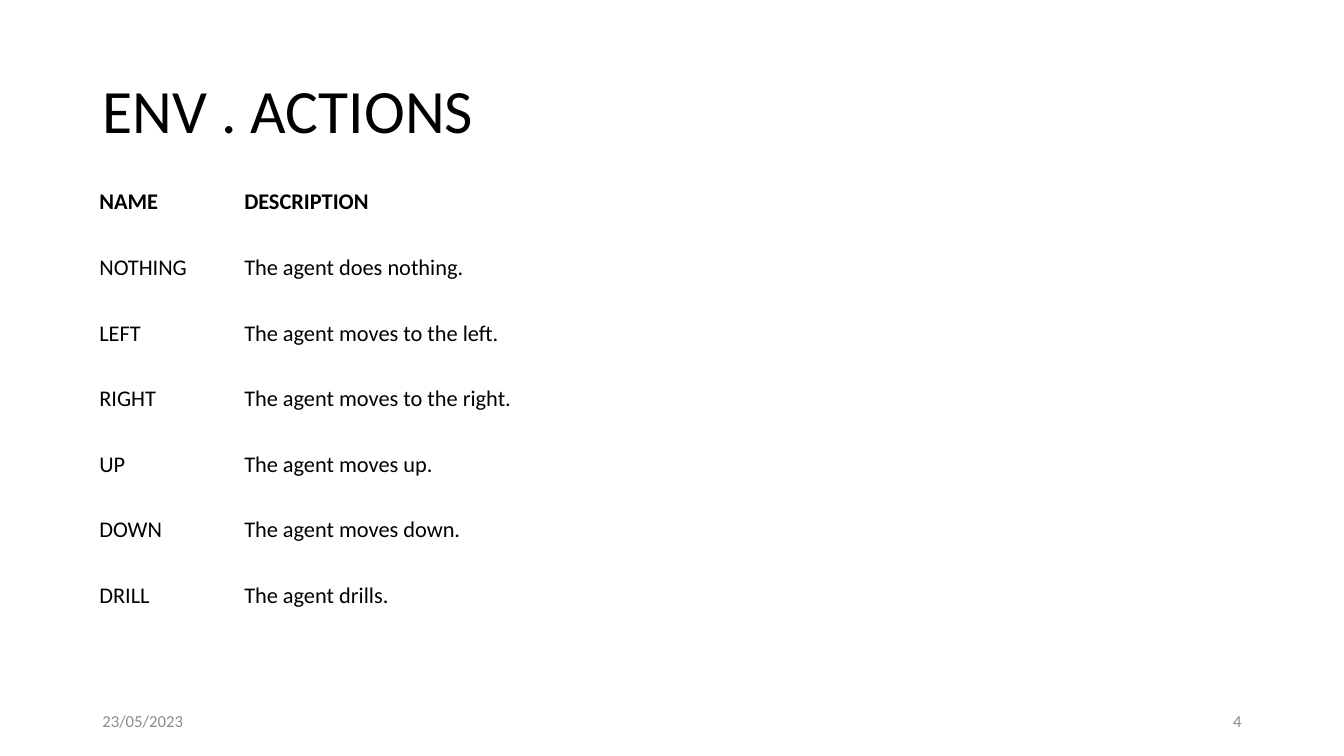
from pptx import Presentation
from pptx.dml.color import RGBColor
from pptx.enum.text import MSO_ANCHOR, MSO_AUTO_SIZE, PP_ALIGN
from pptx.util import Pt

BLACK = RGBColor(0x00, 0x00, 0x00)
GREY = RGBColor(0x8C, 0x8C, 0x8C)
FONT = "Calibri"
MIDDLE = MSO_ANCHOR.MIDDLE
TOP = MSO_ANCHOR.TOP
FIXED = MSO_AUTO_SIZE.NONE
LEFT = PP_ALIGN.LEFT
RIGHT = PP_ALIGN.RIGHT

ROWS = [
    ("NAME", "DESCRIPTION"),
    ("NOTHING", "The agent does nothing."),
    ("LEFT", "The agent moves to the left."),
    ("RIGHT", "The agent moves to the right."),
    ("UP", "The agent moves up."),
    ("DOWN", "The agent moves down."),
    ("DRILL", "The agent drills."),
]


def write(frame, text, size, color, align=LEFT, bold=False):
    """Add one formatted run to the first paragraph and return the paragraph."""
    para = frame.paragraphs[0]
    para.alignment = align
    run = para.add_run()
    run.text = text
    font = run.font
    font.name, font.size, font.bold = FONT, Pt(size), bold
    font.color.rgb = color
    return para


def set_title(slide, left, top, width, height):
    """Place and fill the title."""
    title = slide.shapes.title
    title.left, title.top = Pt(left), Pt(top)
    title.width, title.height = Pt(width), Pt(height)
    frame = title.text_frame
    frame.auto_size = FIXED
    frame.vertical_anchor = MIDDLE
    write(frame, "ENV . ACTIONS", 44, BLACK).line_spacing = 0.9


def add_actions(slide, left, top, width, height):
    """Add the plain table of actions, with a narrow name column."""
    table = slide.shapes.add_table(
        len(ROWS), 2, Pt(left), Pt(top), Pt(width), Pt(height)
    ).table
    table.horz_banding = False
    table.first_row = False
    name_width = 103.5
    table.columns[0].width = Pt(name_width)
    table.columns[1].width = Pt(width - name_width)
    for r, texts in enumerate(ROWS):
        table.rows[r].height = Pt(height / len(ROWS))
        for c, text in enumerate(texts):
            cell = table.cell(r, c)
            cell.fill.background()
            cell.vertical_anchor = TOP
            cell.margin_left = cell.margin_right = Pt(5)
            cell.margin_top = cell.margin_bottom = Pt(0)
            para = write(cell.text_frame, text, 16, BLACK, bold=r == 0)
            para.line_spacing = 1.07
            para.space_after = Pt(8)


def add_footer(slide, left, top, width, height):
    """Add the date at the left end and the slide number at the right."""
    part = 216
    for text, x, align in (
        ("23/05/2023", left, LEFT),
        ("4", left + width - part, RIGHT),
    ):
        box = slide.shapes.add_textbox(Pt(x), Pt(top), Pt(part), Pt(height))
        frame = box.text_frame
        frame.word_wrap = True
        frame.vertical_anchor = MIDDLE
        write(frame, text, 12, GREY, align)


def main():
    """Build and save the slide."""
    deck = Presentation()
    deck.slide_width, deck.slide_height = Pt(960), Pt(540)
    slide = deck.slides.add_slide(deck.slide_layouts[5])
    set_title(slide, 66, 28.75, 828, 104.4)
    add_actions(slide, 66, 133.2, 724.5, 328.3)
    add_footer(slide, 66, 500.5, 828, 28.75)
    deck.save("out.pptx")


if __name__ == "__main__":
    main()
